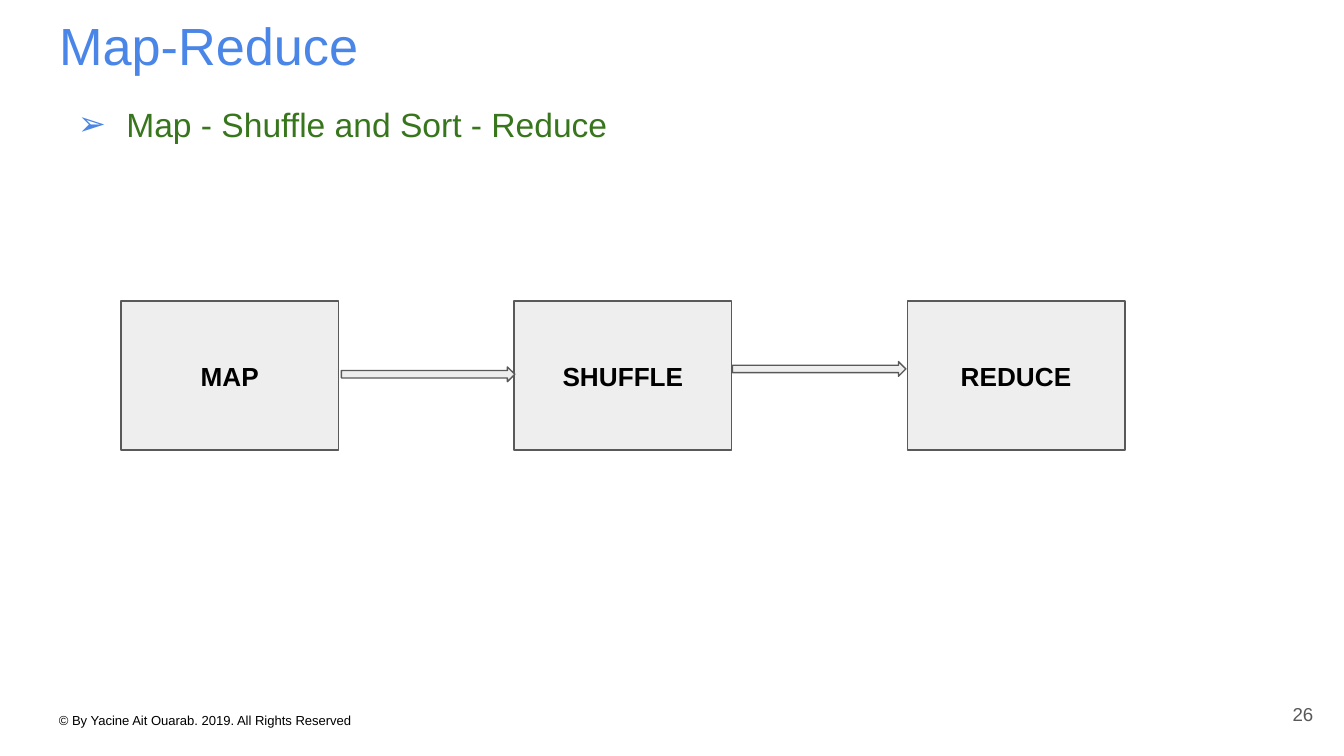
from lxml import etree
from pptx import Presentation
from pptx import util as u
from pptx.dml.color import RGBColor
from pptx.enum import shapes, text
from pptx.oxml.ns import qn

BLUE, GREEN, GREY, PALE, BLACK = "4A86E8", "38761D", "595959", "EEEEEE", "000000"
TOP, MIDDLE = text.MSO_ANCHOR.TOP, text.MSO_ANCHOR.MIDDLE
LEFT, CENTER, RIGHT = text.PP_ALIGN.LEFT, text.PP_ALIGN.CENTER, text.PP_ALIGN.RIGHT
PAGE_WIDTH = u.Inches(10)
PAGE_HEIGHT = PAGE_WIDTH * 9 // 16
STAGES = ["MAP", "SHUFFLE", "REDUCE"]
FIRST_LEFT, LAST_LEFT, STAGE_TOP = 0.9, 6.75, 2.24
STAGE_WIDTH, STAGE_HEIGHT = 1.62, 1.11
ARROWS = [(2.54, 2.73), (5.45, 2.69)]


def color(value):
    return RGBColor.from_string(value)


def apply(target, values):
    for name, value in values.items():
        setattr(target, name, value)


def place(shape, left, top, width, height):
    bounds = {"left": left, "top": top, "width": width, "height": height}
    apply(shape, {name: u.Inches(value) for name, value in bounds.items()})


def write(shape, words, size, ink, align=LEFT, anchor=TOP, bold=False):
    """Fill a shape with one formatted paragraph and return it."""
    frame = shape.text_frame
    sides = ("left", "top", "right", "bottom")
    apply(frame, {f"margin_{side}": u.Inches(0.1) for side in sides})
    apply(frame, {"word_wrap": True, "vertical_anchor": anchor,
                  "auto_size": text.MSO_AUTO_SIZE.NONE})
    para = frame.paragraphs[0]
    apply(para, {"alignment": align, "space_before": u.Pt(0)})
    span = para.add_run()
    span.text = words
    apply(span.font, {"name": "Arial", "size": u.Pt(size), "bold": bold})
    span.font.color.rgb = color(ink)
    return para


def add_label(page, words, bounds, size, ink, **layout):
    box = page.shapes.add_textbox(0, 0, 0, 0)
    place(box, *bounds)
    write(box, words, size, ink, **layout)


def add_bullet(para, symbol, ink):
    para.line_spacing = 1.15
    props = para._p.get_or_add_pPr()
    props.set("marL", str(u.Inches(0.5)))
    props.set("indent", str(u.Inches(-0.36)))
    tint = etree.SubElement(props, qn("a:buClr"))
    etree.SubElement(tint, qn("a:srgbClr"), val=ink)
    etree.SubElement(props, qn("a:buFont"), typeface="Arial")
    etree.SubElement(props, qn("a:buChar"), char=symbol)


def add_block(page, kind, bounds):
    """Add a pale shape with a thin grey outline."""
    block = page.shapes.add_shape(kind, *map(u.Inches, bounds))
    block.shadow.inherit = False
    block.fill.solid()
    block.fill.fore_color.rgb = color(PALE)
    block.line.color.rgb = color(GREY)
    block.line.width = u.Pt(0.75)
    return block


def main():
    deck = Presentation()
    apply(deck, {"slide_width": PAGE_WIDTH, "slide_height": PAGE_HEIGHT})
    page = deck.slides.add_slide(deck.slide_layouts[1])

    title, body = page.placeholders
    place(title, 0.34, 0, 9.32, 0.63)
    write(title, "Map-Reduce", 28, BLUE)
    place(body, 0.34, 0.63, 9.32, 4.47)
    add_bullet(write(body, "Map - Shuffle and Sort - Reduce", 18, GREEN), "➢", BLUE)

    add_label(page, "© By Yacine Ait Ouarab. 2019. All Rights Reserved",
              (0.34, 5.2, 9.32, 0.24), 7, BLACK)
    add_label(page, "26", (9.27, 5.1, 0.6, 0.43), 10, GREY, align=RIGHT, anchor=MIDDLE)

    pitch = (LAST_LEFT - FIRST_LEFT) / (len(STAGES) - 1)
    for index, name in enumerate(STAGES):
        bounds = (FIRST_LEFT + index * pitch, STAGE_TOP, STAGE_WIDTH, STAGE_HEIGHT)
        stage = add_block(page, shapes.MSO_SHAPE.RECTANGLE, bounds)
        write(stage, name, 14, BLACK, align=CENTER, anchor=MIDDLE, bold=True)
    for left, top in ARROWS:
        add_block(page, shapes.MSO_SHAPE.RIGHT_ARROW, (left, top, 1.29, 0.11))

    deck.save("out.pptx")


if __name__ == "__main__":
    main()
